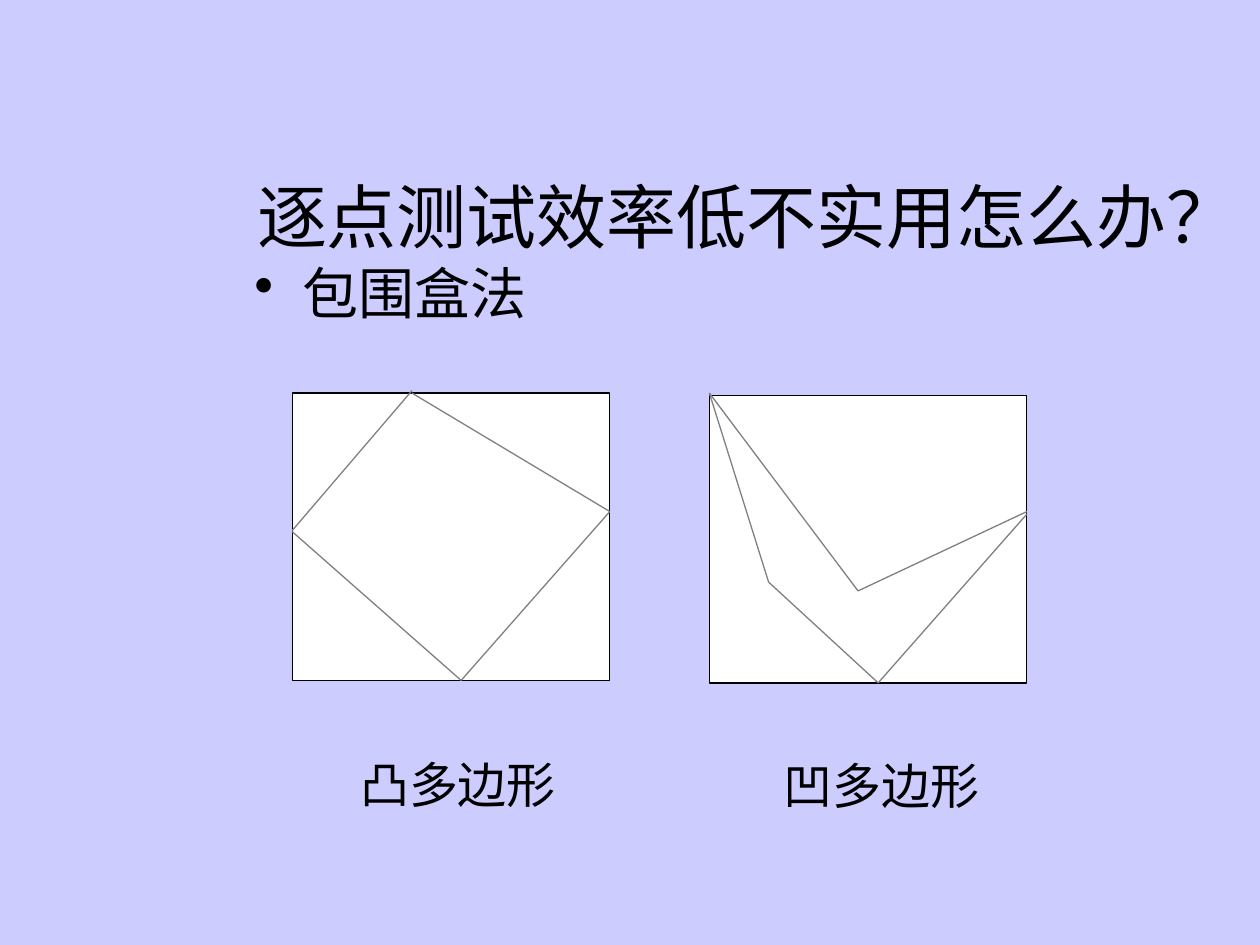
import pptx
import pptx.util
import pptx.dml.color
import pptx.enum.shapes
import pptx.enum.text
import pptx.oxml.ns
import lxml.etree

Inches = pptx.util.Inches
ALIGN = pptx.enum.text.PP_ALIGN
ANCHOR = pptx.enum.text.MSO_ANCHOR


def color(hex_string):
    return pptx.dml.color.RGBColor.from_string(hex_string)


def add_text(page, text, area, size, align, anchor=ANCHOR.TOP, bullet=None):
    box = page.shapes.add_textbox(*[Inches(value) for value in area])
    frame = box.text_frame
    frame.word_wrap = True
    frame.vertical_anchor = anchor
    para = frame.paragraphs[0]
    para.alignment = align
    if bullet:
        properties = para._p.get_or_add_pPr()
        properties.set("marL", str(Inches(0.38)))
        properties.set("indent", str(-Inches(0.38)))
        mark = lxml.etree.SubElement(properties, pptx.oxml.ns.qn("a:buChar"))
        mark.set("char", bullet)
    span = para.add_run()
    span.text = text
    font_format = {"name": "Times New Roman", "size": pptx.util.Pt(size)}
    for key, value in font_format.items():
        setattr(span.font, key, value)
    span.font.color.rgb = color("000000")


deck = pptx.Presentation()
deck.slide_width = Inches(10)
deck.slide_height = Inches(7.5)
page = deck.slides.add_slide(deck.slide_layouts[6])
page.background.fill.solid()
page.background.fill.fore_color.rgb = color("CCCCFF")

# Bulleted method name
add_text(page, "包围盒法", (1.92, 2, 3.41, 0.8), 32, ALIGN.LEFT, bullet="•")

# Polygons inside their bounding boxes, each edge as (x1, y1, x2, y2)
polygons = [
    {
        "box": (2.32, 3.12),
        "edges": [
            (3.27, 3.1, 2.32, 4.21),
            (2.32, 4.22, 3.66, 5.4),
            (3.66, 5.4, 4.84, 4.06),
            (4.84, 4.06, 3.27, 3.12),
        ],
        "caption": ("凸多边形", 1.93, 5.94),
    },
    {
        "box": (5.63, 3.14),
        "edges": [
            (5.63, 3.12, 6.1, 4.62),
            (6.1, 4.62, 6.97, 5.42),
            (6.97, 5.42, 8.15, 4.08),
            (6.81, 4.69, 5.63, 3.12),
            (8.15, 4.06, 6.81, 4.69),
        ],
        "caption": ("凹多边形", 5.29, 5.95),
    },
]
for polygon in polygons:
    group = page.shapes.add_group_shape()
    left, top = polygon["box"]
    bounds = group.shapes.add_shape(
        pptx.enum.shapes.MSO_SHAPE.RECTANGLE,
        Inches(left), Inches(top), Inches(2.52), Inches(2.28))
    bounds.shadow.inherit = False
    bounds.fill.solid()
    bounds.fill.fore_color.rgb = color("FFFFFF")
    bounds.line.color.rgb = color("000000")
    bounds.line.width = pptx.util.Pt(0.75)

    for ends in polygon["edges"]:
        edge = group.shapes.add_connector(
            pptx.enum.shapes.MSO_CONNECTOR.STRAIGHT,
            *[Inches(value) for value in ends])
        edge.line.color.rgb = color("808080")
        edge.line.width = pptx.util.Pt(0.75)
        lxml.etree.SubElement(
            edge._element.spPr, pptx.oxml.ns.qn("a:effectLst"))

    text, left, top = polygon["caption"]
    add_text(page, text, (left, top, 3.41, 0.8), 28, ALIGN.CENTER)

# Title
add_text(page, "逐点测试效率低不实用怎么办？", (1.85, 0.92, 8.15, 1.58), 40,
         ALIGN.CENTER, ANCHOR.MIDDLE)

deck.save("out.pptx")
